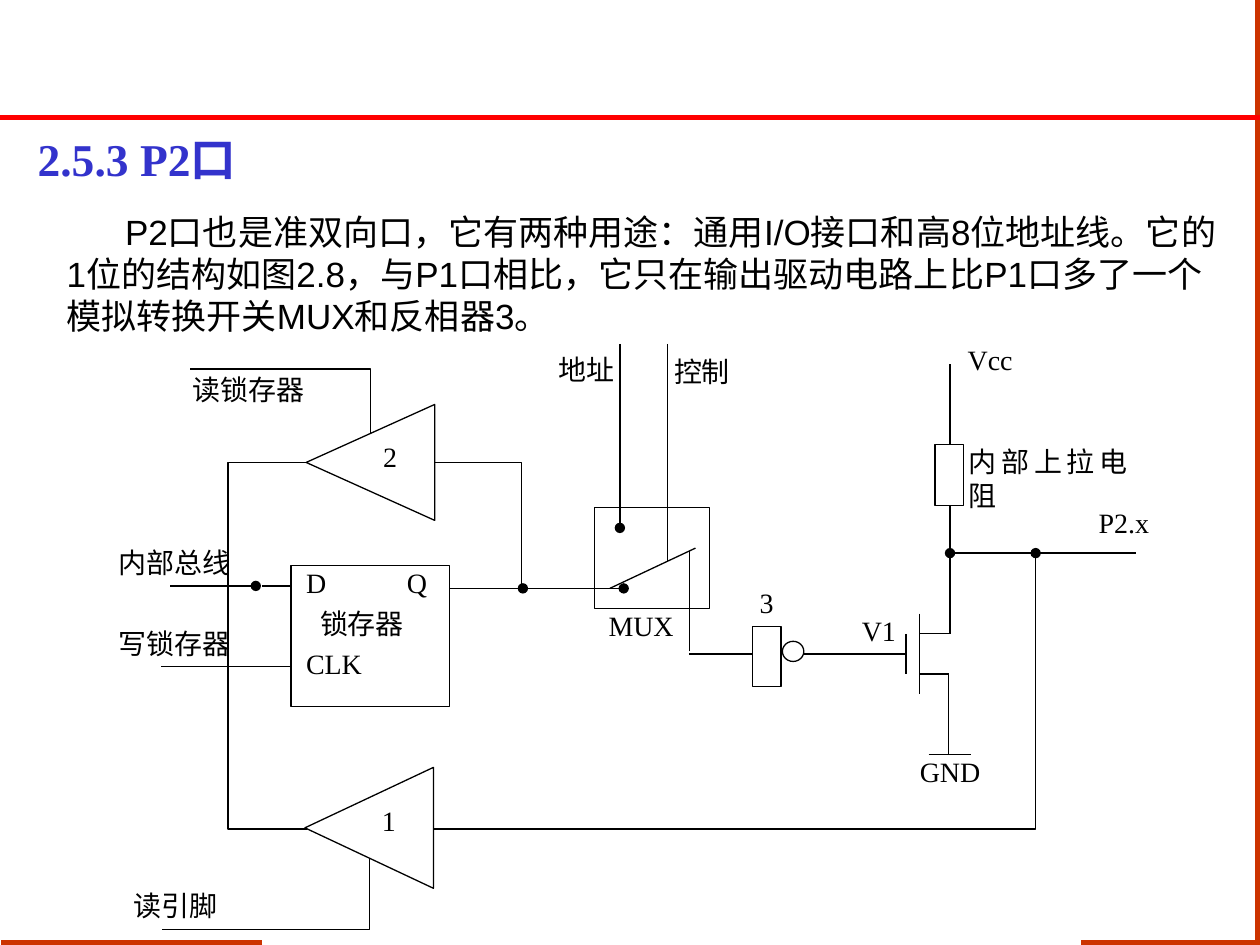
from lxml import etree
from pptx import Presentation
from pptx import util as u
from pptx.dml import color
from pptx.enum import shapes, text
from pptx.oxml import ns

THEME = {
    "ink": color.RGBColor(0, 0, 0),
    "paper": color.RGBColor(255, 255, 255),
    "title": color.RGBColor(0x33, 0x33, 0xCC),
    "edge": color.RGBColor(0xCC, 0x33, 0x00),
    "rule": color.RGBColor(255, 0, 0),
    "serif": "Times New Roman",
    "sans": "Arial",
    "head": u.Pt(26), "body": u.Pt(20), "label": u.Pt(16),
    "thin": u.Pt(0.75), "thick": u.Pt(3),
}
INCH = 2.54  # coordinates below are in inches


def wire(kind, ends, hue="ink", width="thin", dots=""):
    """Draw a connector; dots names the ends (head, tail) with a round dot."""
    line = slide.shapes.add_connector(kind, *[u.Cm(INCH * v) for v in ends])
    line.line.color.rgb = THEME[hue]
    line.line.width = THEME[width]
    for end in dots.split():
        etree.SubElement(line.line._ln, ns.qn(f"a:{end}End"), type="oval")
    etree.SubElement(line._element.spPr, ns.qn("a:effectLst"))
    return line


def write(frame, words, size, font, hue="ink", pad=(0, 0), align=None):
    """Fill a text frame; pad is the side and the top inset."""
    frame.word_wrap = True
    frame.margin_left = frame.margin_right = u.Cm(INCH * pad[0])
    frame.margin_top = frame.margin_bottom = u.Cm(INCH * pad[1])
    frame.vertical_anchor = text.MSO_ANCHOR.TOP
    para = frame.paragraphs[0]
    para.text = words
    para.alignment = align
    para.font.size = THEME[size]
    para.font.name = THEME[font]
    para.font.color.rgb = THEME[hue]
    return para


deck = Presentation()
deck.slide_width, deck.slide_height = u.Cm(25.4), u.Cm(19.05)
slide = deck.slides.add_slide(deck.slide_layouts[6])
LINE, ELBOW = shapes.MSO_CONNECTOR.STRAIGHT, shapes.MSO_CONNECTOR.ELBOW
JUST = text.PP_ALIGN.JUSTIFY

# Page frame
for ends, hue in [
    ((2.08, 7.48, 0.01, 7.48), "edge"),
    ((9.98, 7.5, 9.98, 0), "edge"),
    ((9.96, 7.48, 8.58, 7.48), "edge"),
    ((10, 0.93, 0, 0.93), "rule"),
]:
    wire(LINE, ends, hue, "thick")

# Heading and paragraph
box = slide.shapes.add_textbox(*[u.Cm(INCH * v) for v in (0.2, 0.99, 9.61, 0.55)])
para = write(box.text_frame, "2.5.3 P2口", "head", "serif", "title", (0.1, 0.05))
para.font.bold = True

box = slide.shapes.add_textbox(*[u.Cm(INCH * v) for v in (0.43, 1.62, 9.37, 1.1)])
para = write(
    box.text_frame,
    "P2口也是准双向口，它有两种用途：通用I/O接口和高8位地址线。"
    "它的1位的结构如图2.8，与P1口相比，它只在输出驱动电路上比P1口"
    "多了一个模拟转换开关MUX和反相器3。",
    "body", "sans", pad=(0.1, 0.05))
para._p.get_or_add_pPr().set("indent", str(u.Cm(1.18)))
box.text_frame.vertical_anchor = text.MSO_ANCHOR.MIDDLE

# Circuit parts: buffers, latch, switch, resistor, inverter
RECT, TRI = shapes.MSO_SHAPE.RECTANGLE, shapes.MSO_SHAPE.ISOSCELES_TRIANGLE
for form, place, name in [
    (TRI, (2.48, 3.16, 0.92, 1.02), "2"),
    (TRI, (2.45, 6.06, 0.96, 1.02), "1"),
    (RECT, (2.31, 4.49, 1.26, 1.12), ""),
    (RECT, (4.72, 4.03, 0.91, 0.8), ""),
    (RECT, (7.42, 3.53, 0.23, 0.48), ""),
    (RECT, (5.97, 4.97, 0.23, 0.48), ""),
    (shapes.MSO_SHAPE.FLOWCHART_CONNECTOR, (6.21, 5.09, 0.17, 0.16), ""),
]:
    part = slide.shapes.add_shape(form, *[u.Cm(INCH * v) for v in place])
    part.shadow.inherit = False
    part.fill.solid()
    part.fill.fore_color.rgb = THEME["paper"]
    part.line.color.rgb = THEME["ink"]
    part.line.width = THEME["thin"]
    if name:
        part.rotation = 270
        write(part.text_frame, name, "label", "serif", pad=(0.05, 0.1), align=JUST)
        part.text_frame._txBody.bodyPr.set("vert", "eaVert")

# Straight wires
for ends, dots in [
    ((2.31, 4.65, 2.08, 4.65), ""),           # bus to D
    ((2.03, 4.65, 1.35, 4.65), "head"),
    ((2.31, 5.29, 1.28, 5.29), ""),           # write to CLK
    ((4.14, 4.67, 3.57, 4.67), ""),           # Q to switch
    ((4.15, 4.67, 4.95, 4.67), "head tail"),
    ((4.92, 2.73, 4.92, 4.19), "tail"),       # address
    ((5.3, 2.73, 5.3, 4.46), ""),             # control
    ((5.52, 4.35, 4.84, 4.67), ""),           # switch arm
    ((5.47, 5.17, 5.47, 4.37), ""),           # switch to inverter and gate
    ((5.47, 5.19, 5.97, 5.19), ""),
    ((6.38, 5.19, 7.19, 5.19), ""),
    ((7.19, 5.03, 7.19, 5.35), ""),           # transistor
    ((7.3, 4.87, 7.3, 5.51), ""),
    ((7.3, 5.35, 7.53, 5.35), ""),
    ((7.3, 5.03, 7.53, 5.03), ""),
    ((7.53, 5.35, 7.53, 5.99), ""),           # ground
    ((7.37, 5.99, 7.71, 5.99), ""),
    ((7.54, 5.03, 7.54, 4.01), ""),           # supply
    ((7.54, 3.53, 7.54, 2.89), ""),
    ((7.54, 4.39, 8.22, 4.39), "head"),       # pin
    ((8.22, 4.39, 9.02, 4.39), "head"),
]:
    wire(LINE, ends, dots=dots)

# Wires with one corner: ends before turning, then the turn in degrees
for ends, turn in [
    ((1.97, 3.9, 2.48, 2.47), 270),           # read latch
    ((1.83, 6.27, 2.39, 7.92), 90),           # read pin
    ((3.45, 3.67, 4.14, 4.67), 0),            # Q to buffer 2
    ((3.44, 6.58, 8.22, 4.4), 0),             # pin to buffer 1
]:
    bend = wire(ELBOW, ends)._element.spPr
    bend.find(ns.qn("a:prstGeom")).set("prst", "bentConnector2")
    bend.find(ns.qn("a:xfrm")).set("rot", str(turn * 60000))

# Bus joining both buffers, bent out 0.63 inch to the left
bend = wire(ELBOW, (2.43, 3.67, 2.44, 6.58))._element.spPr
marks = bend.find(ns.qn("a:prstGeom")).get_or_add_avLst()
etree.SubElement(marks, ns.qn("a:gd"), name="adj1", fmla="val -6300000")

# Labels: left, top, width
for left, top, wide, name in [
    (2.43, 4.49, 0.34, "D"), (3.23, 4.49, 0.34, "Q"),
    (2.43, 5.13, 0.57, "CLK"), (2.54, 4.81, 0.91, "锁存器"),
    (1.53, 2.96, 0.91, "读锁存器"), (0.94, 4.97, 0.91, "写锁存器"),
    (0.94, 4.33, 0.91, "内部总线"), (1.06, 7.05, 0.91, "读引脚"),
    (4.43, 2.8, 0.57, "地址"), (5.35, 2.81, 0.91, "控制"),
    (7.68, 2.72, 0.91, "Vcc"), (7.3, 5.99, 0.91, "GND"),
    (8.72, 4.01, 0.46, "P2.x"), (6.84, 4.87, 0.34, "V1"),
    (4.83, 4.83, 0.57, "MUX"), (7.69, 3.53, 1.26, "内部上拉电阻"),
    (6.03, 4.65, 0.23, "3"),
]:
    box = slide.shapes.add_textbox(*[u.Cm(INCH * v) for v in (left, top, wide, 0.32)])
    write(box.text_frame, name, "label", "serif", align=JUST)

deck.save("out.pptx")
